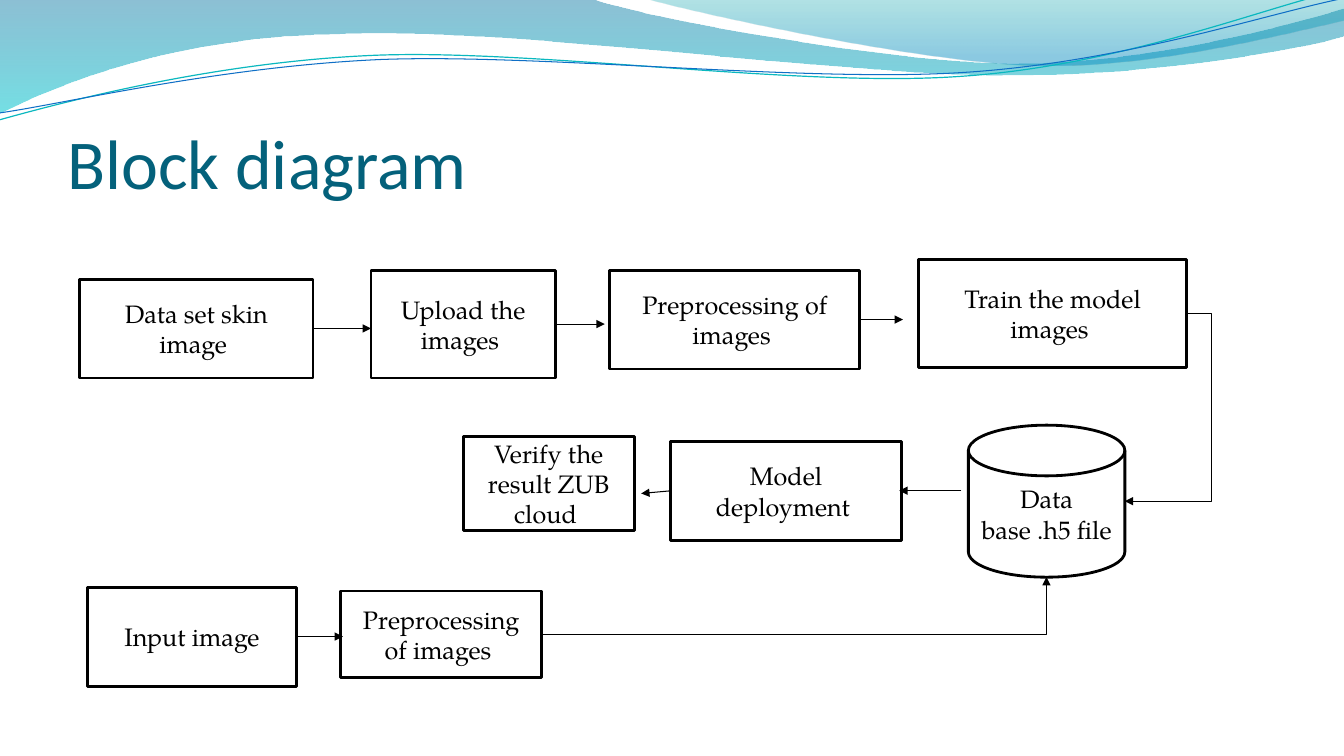
from pptx import Presentation
from pptx.util import Pt
from pptx.dml.color import RGBColor
from pptx.enum.shapes import MSO_SHAPE, MSO_CONNECTOR
from pptx.enum.text import PP_ALIGN, MSO_ANCHOR
from pptx.oxml.ns import qn
from lxml.etree import SubElement

BLACK = RGBColor(0, 0, 0)
WHITE = RGBColor(255, 255, 255)
TITLE = RGBColor(0x04, 0x61, 0x7B)
BLUE = RGBColor(0x00, 0x74, 0xA1)
CYAN = RGBColor(0x00, 0xC6, 0xCF)
TEAL = RGBColor(0x00, 0xA1, 0xA9)
SKY = RGBColor(0x00, 0x8B, 0xBF)
AQUA = RGBColor(0x0A, 0xB8, 0xBF)
NAVY = RGBColor(0x0F, 0x6F, 0xC6)

deck = Presentation()
deck.slide_width, deck.slide_height = Pt(960), Pt(540)
slide = deck.slides.add_slide(deck.slide_layouts[6])
shapes = slide.shapes


def put(shape, text, size=18, font="TeX Gyre Pagella", color=BLACK,
        align=PP_ALIGN.CENTER, anchor=MSO_ANCHOR.MIDDLE):
    frame = shape.text_frame
    frame.word_wrap = True
    frame.vertical_anchor = anchor
    para = frame.paragraphs[0]
    para.alignment = align
    run = para.add_run()
    run.text = text
    run.font.size = Pt(size)
    run.font.name = font
    run.font.color.rgb = color


def trace(start, parts, close):
    """Draw an outline: 2 numbers are a line end, 6 are a Bezier curve."""
    pen = shapes.build_freeform(Pt(start[0]), Pt(start[1]), scale=1.0)
    for part in parts:
        pairs = zip(part[::2], part[1::2])
        pen.add_line_segments([(Pt(x), Pt(y)) for x, y in pairs], close=False)
    if close:
        pen.add_line_segments([], close=True)
    shape = pen.convert_to_shape()
    shape.shadow.inherit = False
    # Join each three points of a curve into one Bezier segment
    steps = iter(list(shape._element.iter(qn("a:lnTo"))))
    for part in parts:
        group = [next(steps) for _ in part[::2]]
        if len(group) == 3:
            bend = SubElement(group[0].getparent(), qn("a:cubicBezTo"))
            group[0].addprevious(bend)
            for step in group:
                bend.append(step[0])
                step.getparent().remove(step)
    return shape


# Header waves: start, outline, then (place, colour, opacity) of each stop
waves = [
    ((-0.5, 0), [(422.6, -0.7), (456.5, 12.2, 637.2, 45.4, 727.9, 45.4),
                 (819.4, 45.4, 920.2, 18.7, 959.8, 6.5), (961.2, 25.9),
                 (943.9, 31.7, 835.2, 54.7, 715.7, 54),
                 (596.9, 54, 366.5, 20.2, 247, 24.5),
                 (123.8, 25.9, 43.9, 59.8, -0.7, 81.4)],
     [(0, BLUE, 45), (1, CYAN, 55)]),
    ((460.1, -0.7), [(488.9, 7.9, 654.5, 44.6, 738, 46.8),
                     (821.5, 49.7, 923, 23, 959.8, 15.1), (959.8, 0)],
     [(0, TEAL, 30), (0.8, SKY, 45)]),
]
for start, parts, stops in waves:
    wave = trace(start, parts, True)
    wave.line.fill.background()
    wave.fill.gradient()
    wave.fill.gradient_angle = 270
    for stop, (place, color, _) in zip(wave.fill.gradient_stops, stops):
        stop.position = place
        stop.color.rgb = color
    tints = wave._element.spPr.iter(qn("a:srgbClr"))
    for tint, (_, _, alpha) in zip(list(tints), stops):
        SubElement(tint, qn("a:alpha")).set("val", str(alpha * 1000))

# Header lines
curves = [
    ((-0.7, 85.7), [(46.1, 72.7, 151.9, 44.6, 265.7, 39.6),
                    (379.4, 34.6, 568.8, 62.6, 684, 54.7),
                    (799.2, 47.5, 901.4, 5.8, 958.3, -7.2)], AQUA, 0.85),
    ((0, 80.6), [(45.4, 74.2, 157, 47.5, 272.2, 42.5),
                 (386.6, 38.2, 573.1, 59, 687.6, 51.8),
                 (802.8, 44.6, 903.6, 10.1, 960.5, -1.4)], NAVY, 0.75),
]
for start, parts, color, width in curves:
    curve = trace(start, parts, False)
    curve.fill.background()
    curve.line.color.rgb = color
    curve.line.width = Pt(width)

# Title
title = shapes.add_textbox(Pt(48), Pt(55.5), Pt(864), Pt(90))
frame = title.text_frame
frame.margin_left = frame.margin_right = frame.margin_bottom = 0
put(title, "Block diagram ", size=50, font="Calibri", color=TITLE,
    align=PP_ALIGN.LEFT, anchor=MSO_ANCHOR.BOTTOM)

# Blocks
RECT, DISK = MSO_SHAPE.RECTANGLE, MSO_SHAPE.FLOWCHART_MAGNETIC_DISK
blocks = [
    ("Data set skin image ", RECT, 56.9, 199.4, 166.7, 70.6),
    ("Upload the images ", RECT, 265, 193, 131.7, 77),
    ("Preprocessing of images ", RECT, 435.6, 193, 178.5, 70.6),
    ("Train the model images ", RECT, 656.3, 185.6, 191.2, 76.8),
    ("Data base\u00a0.h5\u00a0file", DISK, 691.7, 303.7, 111.8, 108.6),
    ("Model deployment ", RECT, 479, 315.3, 165, 70.6),
    ("Verify the result ZUB cloud ", RECT, 330.8, 311.7, 122.2, 67),
    ("Input image", RECT, 62.6, 419.6, 149.2, 70.6),
    ("Preprocessing of images ", RECT, 243.2, 422.1, 143.9, 61.9),
]
for text, kind, x, y, w, h in blocks:
    block = shapes.add_shape(kind, Pt(x), Pt(y), Pt(w), Pt(h))
    block.shadow.inherit = False
    block.fill.solid()
    block.fill.fore_color.rgb = WHITE
    block.line.color.rgb = BLACK
    block.line.width = Pt(2)
    put(block, text)

# Arrows: bent ones name their shape and bend
arrows = [
    (223.5, 234.6, 265, 234.6, None, None),
    (396.7, 231.5, 432, 231.5, None, None),
    (614.1, 228.3, 645, 228.3, None, None),
    (847.5, 224, 803.5, 358, "bentConnector3", -41100),
    (686.7, 350.5, 642.3, 350.5, None, None),
    (479, 350.6, 458, 352.5, None, None),
    (211.7, 454.7, 245, 454.7, None, None),
    (387.1, 453, 747.5, 412.2, "bentConnector2", None),
]
for x, y, to_x, to_y, bent, bend in arrows:
    kind = MSO_CONNECTOR.ELBOW if bent else MSO_CONNECTOR.STRAIGHT
    arrow = shapes.add_connector(kind, Pt(x), Pt(y), Pt(to_x), Pt(to_y))
    arrow.line.color.rgb = BLACK
    arrow.line.width = Pt(0.75)
    props = arrow._element.spPr
    SubElement(props.find(qn("a:ln")), qn("a:tailEnd")).set("type", "triangle")
    SubElement(props, qn("a:effectLst"))
    if bent:
        geom = props.find(qn("a:prstGeom"))
        geom.set("prst", bent)
    if bend:
        guides = geom.find(qn("a:avLst"))
        if guides is None:
            guides = SubElement(geom, qn("a:avLst"))
        guide = SubElement(guides, qn("a:gd"))
        guide.set("name", "adj1")
        guide.set("fmla", f"val {bend}")

deck.save("out.pptx")
